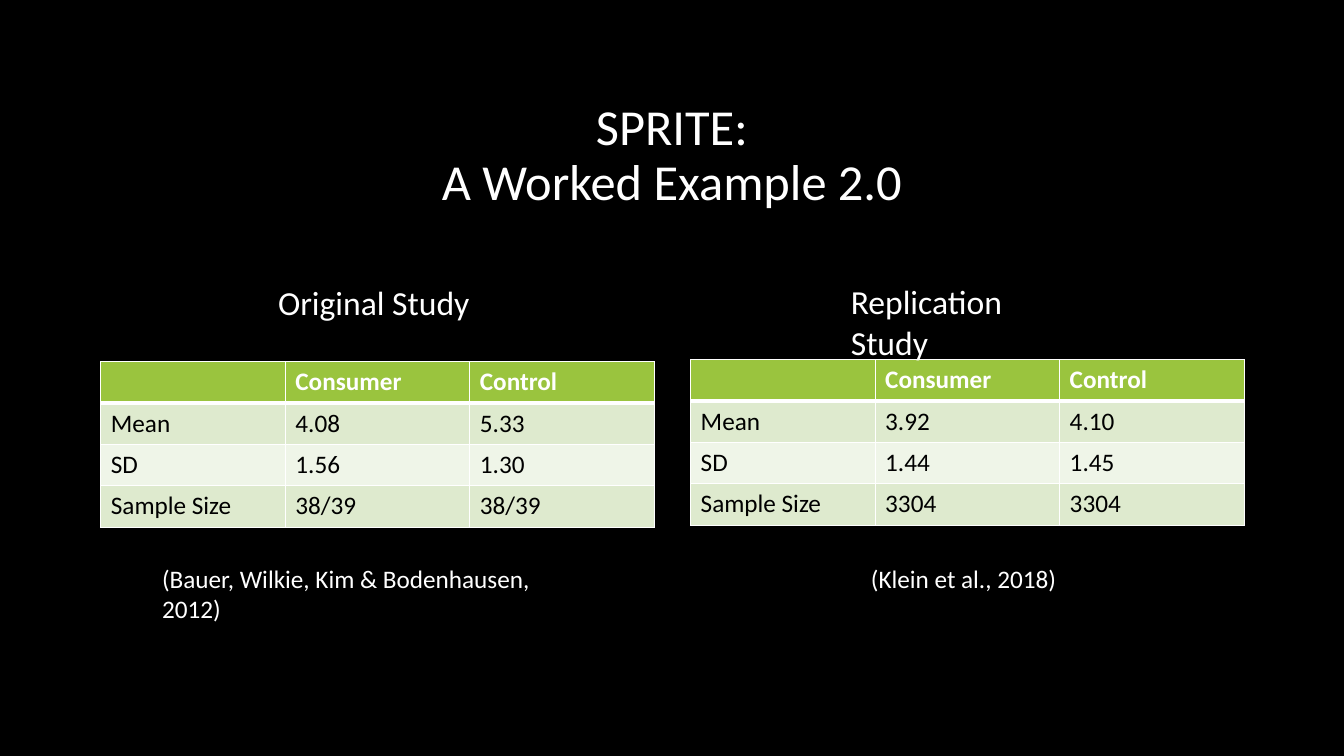
"""Build a slide comparing two studies in a worked SPRITE example."""
import lxml.etree
import pptx
import pptx.dml.color
import pptx.enum.text
import pptx.oxml.ns
import pptx.util

Inches = pptx.util.Inches
WHITE, BLACK, GREEN = "FFFFFF", "000000", "9AC43E"
BAND_FILLS = ["DEEACE", "EFF5E8"]


def color(value):
    return pptx.dml.color.RGBColor.from_string(value)


def write(frame, text, size, text_color, bold=False):
    frame.text = text
    for para in frame.paragraphs:
        for span in para.runs:
            span.font.name = "Calibri"
            span.font.size = pptx.util.Pt(size)
            span.font.bold = bold
            span.font.color.rgb = color(text_color)


deck = pptx.Presentation()
deck.slide_width, deck.slide_height = Inches(13.33), Inches(7.5)
page = deck.slides.add_slide(deck.slide_layouts[6])
page.background.fill.solid()
page.background.fill.fore_color.rgb = color(BLACK)

title = page.shapes.add_textbox(Inches(1), Inches(0.68), Inches(11.33), Inches(1.75))
title.text_frame.word_wrap = True
title.text_frame.vertical_anchor = pptx.enum.text.MSO_ANCHOR.MIDDLE
write(title.text_frame, "SPRITE:\vA Worked Example 2.0", 36, WHITE)
title.text_frame.paragraphs[0].alignment = pptx.enum.text.PP_ALIGN.CENTER
title.text_frame.paragraphs[0].line_spacing = 0.9

studies = [
    (1, 3.59, [("4.08", "5.33"), ("1.56", "1.30"), ("38/39", "38/39")]),
    (6.85, 3.57, [("3.92", "4.10"), ("1.44", "1.45"), ("3304", "3304")]),
]
for left, top, values in studies:
    rows = [("", "Consumer", "Control")]
    rows += [(name, *pair) for name, pair in zip(["Mean", "SD", "Sample Size"], values)]
    table = page.shapes.add_table(
        4, 3, Inches(left), Inches(top), Inches(5.49), Inches(1.64)).table
    for row_index, row in enumerate(rows):
        table.rows[row_index].height = Inches(0.41)
        header = row_index == 0
        for column_index, text in enumerate(row):
            cell = table.cell(row_index, column_index)
            write(cell.text_frame, text, 18, WHITE if header else BLACK, header)
            properties = cell._tc.get_or_add_tcPr()
            for side in "LRTB":
                thick = (header and side == "B") or (row_index == 1 and side == "T")
                border = lxml.etree.SubElement(
                    properties, pptx.oxml.ns.qn(f"a:ln{side}"),
                    w=str(pptx.util.Pt(3 if thick else 1)))
                solid = lxml.etree.SubElement(border, pptx.oxml.ns.qn("a:solidFill"))
                lxml.etree.SubElement(solid, pptx.oxml.ns.qn("a:srgbClr"), val=WHITE)
            cell.fill.solid()
            cell.fill.fore_color.rgb = color(
                GREEN if header else BAND_FILLS[(row_index - 1) % 2])

labels = [
    ("Original Study", 2.66, 2.75, 2.16, 0.5, 24),
    ("Replication Study", 8.34, 2.74, 2.45, 0.5, 24),
    ("(Bauer, Wilkie, Kim & Bodenhausen, 2012)", 1.51, 5.54, 4.4, 0.4, 18),
    ("(Klein et al., 2018)", 8.54, 5.54, 2.09, 0.4, 18),
]
for text, left, top, width, height, size in labels:
    box = page.shapes.add_textbox(Inches(left), Inches(top), Inches(width), Inches(height))
    box.text_frame.word_wrap = True
    write(box.text_frame, text, size, WHITE)

deck.save("out.pptx")
